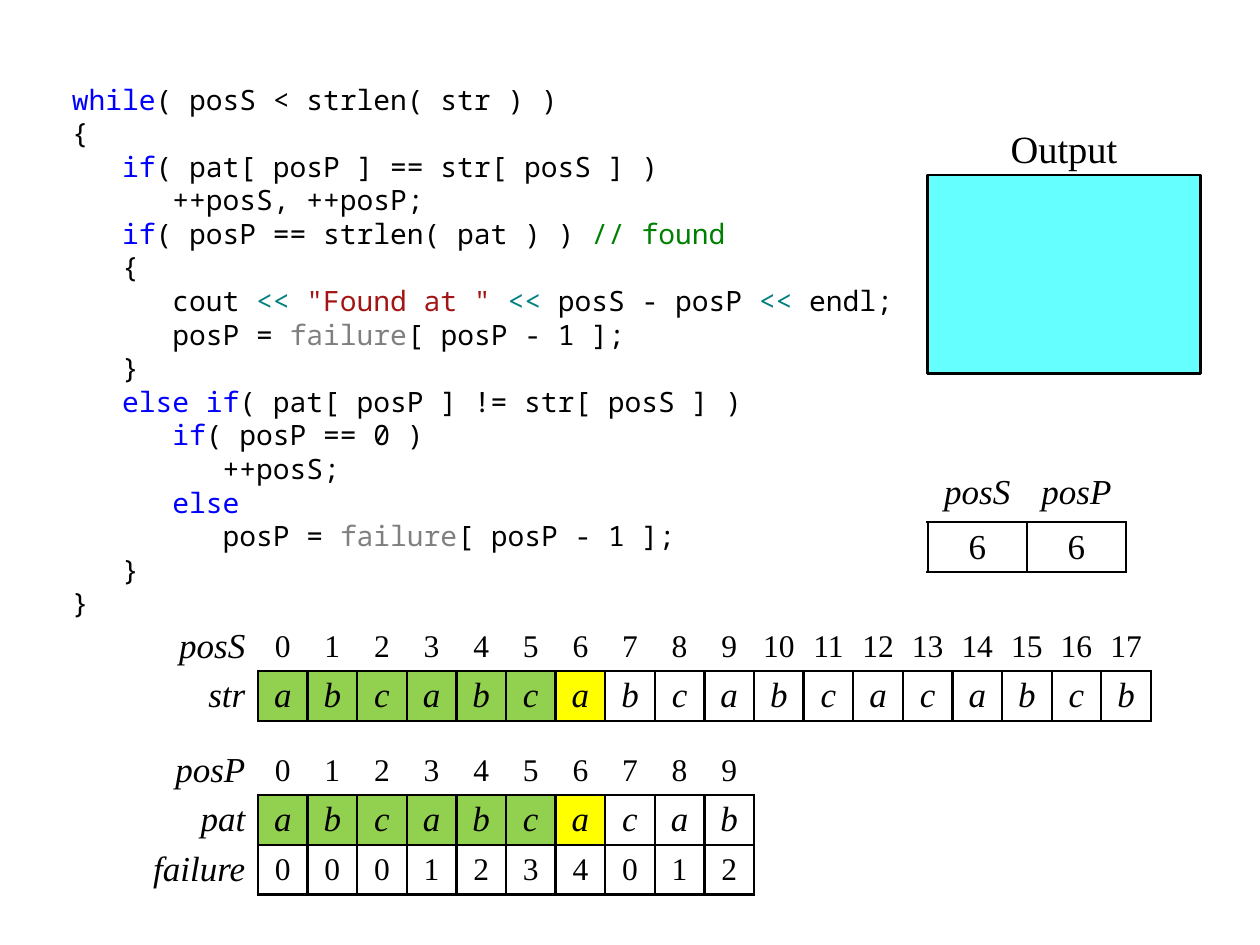
from dataclasses import dataclass
from typing import NamedTuple

from lxml.etree import SubElement
from pptx import Presentation
from pptx.dml.color import RGBColor
from pptx.enum.shapes import MSO_SHAPE
from pptx.enum.text import MSO_ANCHOR as Anchor, PP_ALIGN as Align
from pptx.oxml.ns import qn
from pptx.util import Cm, Emu, Inches, Pt

COLORS = {
    "plain": "000000", "keyword": "0000FF", "comment": "008000",
    "operator": "008080", "string": "A31515", "index": "808080",
    "matched": "92D050", "current": "FFFF00", "output": "66FFFF",
}
CODE_FONT, TEXT_FONT = "Noto Sans Mono", "Times New Roman"
NO_STYLE = "{2D5ABB26-0587-4C30-8999-92F81FD0307C}"
BORDER = Pt(1.5)
MATCHED = 6  # matched letters; the next one is being compared

# Grid of one-centimetre cells, shifted a little from the slide's corner
UNIT = Cm(1)
ORIGIN_X, ORIGIN_Y = Cm(0.2), Cm(0.53)


class Token(NamedTuple):
    text: str
    role: str = "plain"


@dataclass
class Area:
    col: float
    row: float
    cols: float
    rows: float

    def box(self) -> tuple[Emu, Emu, Emu, Emu]:
        return (Emu(int(ORIGIN_X + self.col * UNIT)), Emu(int(ORIGIN_Y + self.row * UNIT)),
                Emu(int(self.cols * UNIT)), Emu(int(self.rows * UNIT)))


@dataclass
class ArrayTable:
    col: float
    row: float
    widths: list[float]
    rows: list[list[str]]
    labelled: bool = True
    number_size: int = 18
    inset: float = 0.1


IF, ELSE = Token("if", "keyword"), Token("else", "keyword")
SHIFT = Token("<< ", "operator")
FALL_BACK = [Token("posP = "), Token("failure", "index"), Token("[ posP - 1 ];")]
CODE = [
    [Token("while", "keyword"), Token("( posS < strlen( str ) )")],
    [Token("{")],
    [Token("   "), IF, Token("( pat[ posP ] == str[ posS ] )")],
    [Token("      ++posS, ++posP;")],
    [Token("   "), IF, Token("( posP == strlen( pat ) ) "), Token("// found", "comment")],
    [Token("   {")],
    [Token("      cout "), SHIFT, Token('"Found at " ', "string"), SHIFT,
     Token("posS - posP "), SHIFT, Token("endl;")],
    [Token("      "), *FALL_BACK],
    [Token("   }")],
    [Token("   "), Token("else if", "keyword"), Token("( pat[ posP ] != str[ posS ] )")],
    [Token("      "), IF, Token("( posP == 0 )")],
    [Token("         ++posS;")],
    [Token("      "), ELSE],
    [Token("         "), *FALL_BACK],
    [Token("   }")],
    [Token("}")],
]

TEXT, PATTERN, FAILURE = "abcabcabcabcacabcb", "abcabcacab", "0001234012"


def indices(letters: str) -> list[str]:
    return [str(i) for i in range(len(letters))]


TABLES = [
    ArrayTable(3, 12, [2] + [1] * len(TEXT),
               [["posS", *indices(TEXT)], ["str", *TEXT]], inset=0.04),
    ArrayTable(18.5, 9, [2, 2], [["posS", "posP"], ["6", "6"]],
               labelled=False, number_size=20, inset=0),
    ArrayTable(2.5, 14.5, [2.5] + [1] * len(PATTERN),
               [["posP", *indices(PATTERN)], ["pat", *PATTERN], ["failure", *FAILURE]]),
]


def rgb(role: str) -> RGBColor:
    return RGBColor.from_string(COLORS[role])


def style(font, name: str, size: int, role: str = "plain", italic: bool = False) -> None:
    font.name, font.size, font.italic = name, Pt(size), italic
    font.color.rgb = rgb(role)


def set_borders(cell, sides: str) -> None:
    """Draw the sides named by the letters L, R, T and B."""
    properties = cell._tc.get_or_add_tcPr()
    for position, side in enumerate(s for s in "LRTB" if s in sides):
        line = SubElement(properties, qn(f"a:ln{side}"), w=str(BORDER))
        fill = SubElement(line, qn("a:solidFill"))
        SubElement(fill, qn("a:srgbClr"), val=COLORS["plain"])
        properties.insert(position, line)


def draw_table(slide, spec_table: ArrayTable) -> None:
    rows, widths = spec_table.rows, spec_table.widths
    area = Area(spec_table.col, spec_table.row, sum(widths), len(rows))
    table = slide.shapes.add_table(len(rows), len(widths), *area.box()).table
    table.first_row = table.horz_banding = False
    table._tbl.tblPr.find(qn("a:tableStyleId")).text = NO_STYLE
    for column, width in zip(table.columns, widths):
        column.width = Cm(width)
    for r, texts in enumerate(rows):
        table.rows[r].height = UNIT
        for c, text in enumerate(texts):
            is_label = spec_table.labelled and c == 0
            cell = table.cell(r, c)
            cell.margin_left = cell.margin_right = Inches(0.1 if is_label else spec_table.inset)
            cell.margin_top = cell.margin_bottom = 0
            top_heading = r == 0 and not spec_table.labelled
            cell.vertical_anchor = Anchor.TOP if top_heading else Anchor.MIDDLE
            paragraph = cell.text_frame.paragraphs[0]
            paragraph.text = text
            paragraph.alignment = Align.RIGHT if is_label else Align.CENTER
            italic = text.isalpha()
            style(paragraph.runs[0].font, TEXT_FONT,
                  20 if italic else spec_table.number_size, italic=italic)
            # Letters are coloured up to the one being compared
            if spec_table.labelled and r == 1 and 1 <= c <= MATCHED + 1:
                cell.fill.solid()
                cell.fill.fore_color.rgb = rgb("matched" if c <= MATCHED else "current")
            else:
                cell.fill.background()
            if is_label:
                set_borders(cell, "R" if r else "")
            else:
                set_borders(cell, "LRTB" if r else "B")


def draw_code(slide, area: Area) -> None:
    frame = slide.shapes.add_textbox(*area.box()).text_frame
    frame.word_wrap = True
    frame.margin_right = Inches(0.04)
    for number, tokens in enumerate(CODE):
        paragraph = frame.add_paragraph() if number else frame.paragraphs[0]
        paragraph.line_spacing = Pt(19.2)
        for token in tokens:
            run = paragraph.add_run()
            run.text = token.text
            style(run.font, CODE_FONT, 16, token.role)


def draw_output(slide, screen_area: Area, title_area: Area) -> None:
    screen = slide.shapes.add_shape(MSO_SHAPE.RECTANGLE, *screen_area.box())
    screen.shadow.inherit = False
    screen.fill.solid()
    screen.fill.fore_color.rgb = rgb("output")
    screen.line.color.rgb = rgb("plain")
    screen.line.width = BORDER
    frame = slide.shapes.add_textbox(*title_area.box()).text_frame
    frame.word_wrap = True
    frame.margin_top = 0
    title = frame.paragraphs[0]
    title.text = "Output"
    title.alignment = Align.CENTER
    style(title.runs[0].font, TEXT_FONT, 22)


def main() -> None:
    deck = Presentation()
    deck.slide_width, deck.slide_height = Inches(10), Inches(7.5)
    slide = deck.slides.add_slide(deck.slide_layouts[6])
    draw_code(slide, Area(1, 1, 17, 11))
    for table in TABLES:
        draw_table(slide, table)
    draw_output(slide, Area(18.5, 3, 5.5, 4), Area(19.5, 2, 3.5, 1))
    deck.save("out.pptx")


if __name__ == "__main__":
    main()
